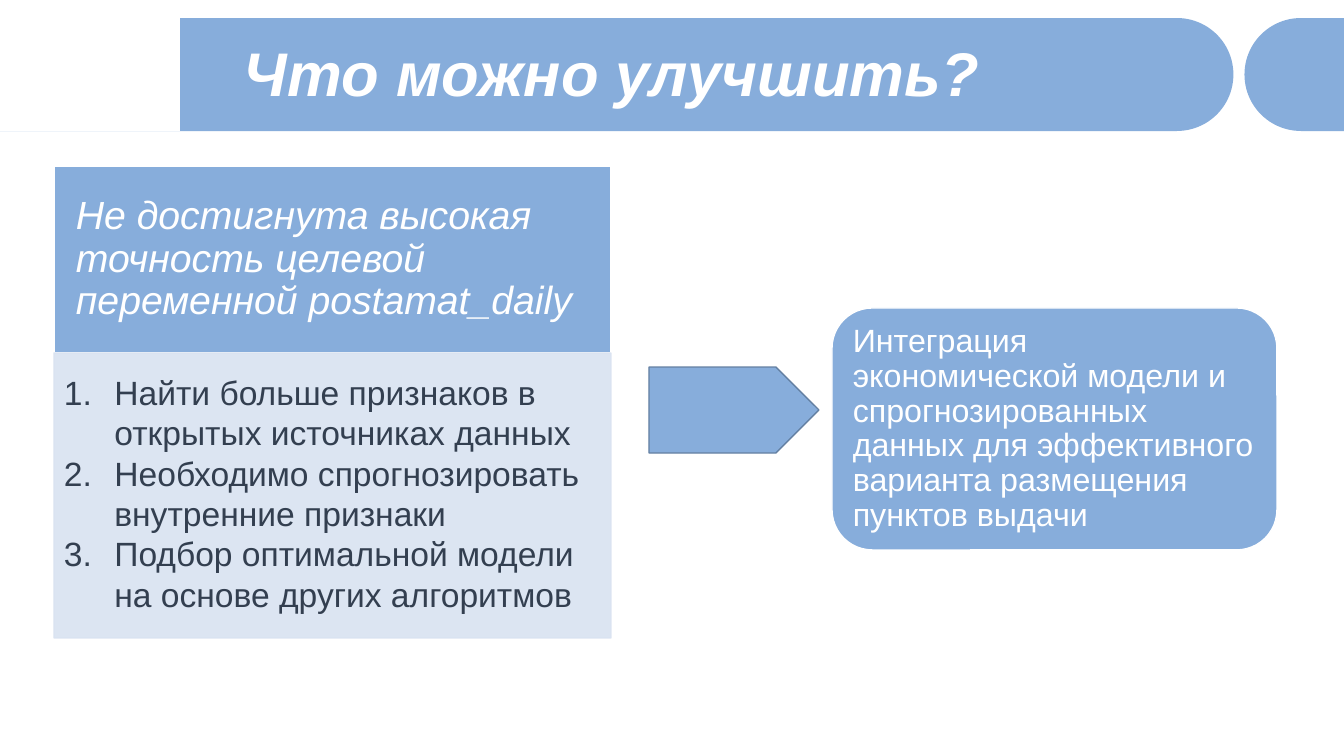
import math
from dataclasses import dataclass

from lxml import etree
from pptx import Presentation
from pptx.dml.color import RGBColor
from pptx.enum.shapes import MSO_SHAPE
from pptx.enum.text import MSO_ANCHOR
from pptx.oxml.ns import qn
from pptx.util import Emu, Pt

RECTANGLE, ROUNDED = MSO_SHAPE.RECTANGLE, MSO_SHAPE.ROUNDED_RECTANGLE
PENTAGON = MSO_SHAPE.PENTAGON
TOP, MIDDLE = MSO_ANCHOR.TOP, MSO_ANCHOR.MIDDLE
SLIDE_WIDTH, SLIDE_HEIGHT = 1344, 756
BAR_TOP, BAR_BOTTOM = 18, 131
ARC_STEPS = 48
BLUE, PALE, WHITE, DARK, EDGE = "87ADDB", "D9E3F1", "FFFFFF", "333F50", "6480A2"


@dataclass(frozen=True)
class Block:
    """A preset shape with its box in px, colours and opacity in percent."""
    kind: int
    box: tuple[int, int, int, int]
    fill: str
    line: str | None = None
    opacity: int = 100


@dataclass(frozen=True)
class HeaderBar:
    """A bar with one flat end and one round end centred on cap_center."""
    flat_end: int
    cap_center: int


BARS = [HeaderBar(0, 1177), HeaderBar(SLIDE_WIDTH, 1301)]
EMBLEM = Block(RECTANGLE, (0, 18, 180, 113), WHITE)
PROBLEM = Block(RECTANGLE, (54, 166, 557, 187), BLUE, WHITE)
STEPS = Block(RECTANGLE, (54, 353, 557, 285), PALE, PALE, 90)
ARROW = Block(PENTAGON, (649, 367, 170, 86), BLUE, EDGE)
RESULT = Block(ROUNDED, (832, 308, 445, 242), BLUE, WHITE)


def px(value: float) -> Emu:
    """Turn px into EMU."""
    return Emu(round(value * 914400 / 100.8))


def color(value: str) -> RGBColor:
    """Turn a hex string into a colour."""
    return RGBColor.from_string(value)


def paint(shape, fill: str, line: str | None = None, opacity: int = 100) -> None:
    """Set fill, outline and opacity, without a shadow."""
    shape.shadow.inherit = False
    shape.fill.solid()
    shape.fill.fore_color.rgb = color(fill)
    if line:
        shape.line.color.rgb = color(line)
        shape.line.width = Pt(1)
    else:
        shape.line.fill.background()
    if opacity < 100:
        for node in shape._element.spPr.iter(qn("a:srgbClr")):
            etree.SubElement(node, qn("a:alpha"), val=str(opacity * 1000))


def draw_block(slide, block: Block):
    """Draw a preset shape."""
    shape = slide.shapes.add_shape(block.kind, *map(px, block.box))
    paint(shape, block.fill, block.line, block.opacity)
    return shape


def draw_bar(slide, bar: HeaderBar) -> None:
    """Draw a header bar with a half-circle at one end."""
    radius = (BAR_BOTTOM - BAR_TOP) / 2
    side = 1 if bar.cap_center > bar.flat_end else -1
    angles = [math.pi * step / ARC_STEPS for step in range(ARC_STEPS + 1)]
    points = [(px(bar.cap_center + side * radius * math.sin(angle)),
               px(BAR_TOP + radius - radius * math.cos(angle))) for angle in angles]
    points.append((px(bar.flat_end), px(BAR_BOTTOM)))
    builder = slide.shapes.build_freeform(px(bar.flat_end), px(BAR_TOP))
    builder.add_line_segments(points, close=True)
    paint(builder.convert_to_shape(), BLUE)


def write(shape, *lines: str, size: int, ink: str = WHITE, anchor: int = MIDDLE,
          insets: tuple[int, int, int, int] = (10, 5, 10, 5), spacing: float = 0.9,
          bold: bool = False, italic: bool = False, numbered: bool = False) -> None:
    """Write left-aligned paragraphs into a shape."""
    frame = shape.text_frame
    frame.word_wrap = True
    frame.vertical_anchor = anchor
    (frame.margin_left, frame.margin_top,
     frame.margin_right, frame.margin_bottom) = map(px, insets)
    frame.text = "\n".join(lines)
    for paragraph in frame.paragraphs:
        paragraph.line_spacing = spacing
        properties = paragraph._p.get_or_add_pPr()
        properties.set("algn", "l")
        if numbered:
            properties.set("marL", str(px(50.4)))
            properties.set("indent", str(-px(50.4)))
            etree.SubElement(properties, qn("a:buFont"), typeface="+mj-lt")
            etree.SubElement(properties, qn("a:buAutoNum"), type="arabicPeriod")
        font = paragraph.runs[0].font
        font.name, font.size = "Arial", Pt(size)
        font.bold, font.italic = bold, italic
        font.color.rgb = color(ink)


def main() -> None:
    """Build the slide and save it."""
    presentation = Presentation()
    presentation.slide_width, presentation.slide_height = px(SLIDE_WIDTH), px(SLIDE_HEIGHT)
    slide = presentation.slides.add_slide(presentation.slide_layouts[6])

    for bar in BARS:
        draw_bar(slide, bar)
    draw_block(slide, EMBLEM)
    title = slide.shapes.add_textbox(px(234), px(37), px(1078), px(80))
    write(title, "Что можно улучшить?", size=44, bold=True, italic=True)

    write(draw_block(slide, PROBLEM),
          "Не достигнута высокая точность целевой переменной postamat_daily",
          size=28, italic=True, insets=(22, 12, 22, 12))
    write(draw_block(slide, STEPS),
          "Найти больше признаков в открытых источниках данных",
          "Необходимо спрогнозировать внутренние признаки",
          "Подбор оптимальной модели на основе других алгоритмов",
          size=24, ink=DARK, anchor=TOP, insets=(10, 19, 21, 5),
          spacing=1.0, numbered=True)
    draw_block(slide, ARROW)
    write(draw_block(slide, RESULT),
          "Интеграция экономической модели и спрогнозированных данных "
          "для эффективного варианта размещения пунктов выдачи",
          size=23, insets=(9, 10, 10, 10))
    presentation.save("out.pptx")


if __name__ == "__main__":
    main()
